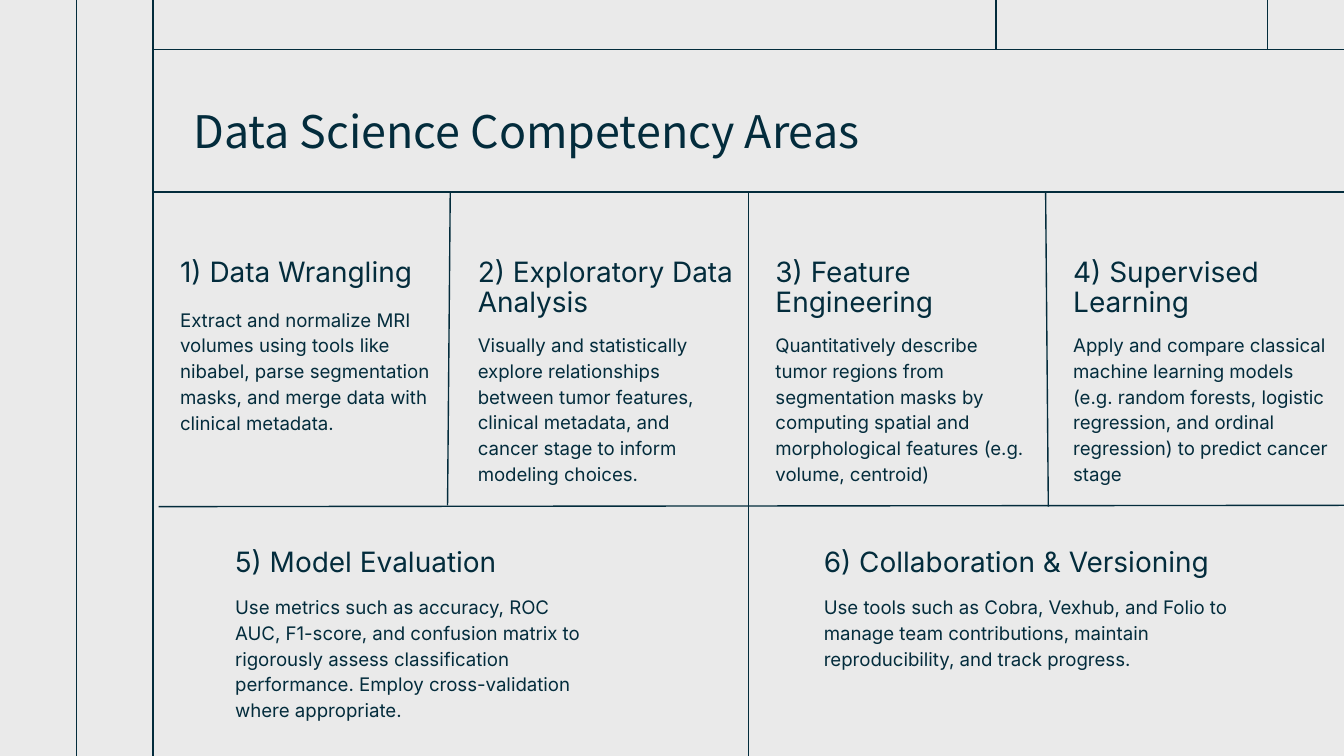
from dataclasses import dataclass

from lxml import etree
from pptx import Presentation
from pptx import util as u
from pptx.dml.color import RGBColor
from pptx.enum import shapes, text
from pptx.oxml import ns


@dataclass(frozen=True)
class Theme:
    ink: RGBColor = RGBColor.from_string("032C3C")
    paper: RGBColor = RGBColor.from_string("EAEAEA")
    title_font: str = "Noto Sans CJK KR"
    text_font: str = "Inter"
    title_size: int = 24
    heading_size: int = 15
    body_size: int = 10
    rule_width: float = 0.75


THEME = Theme()
WIDTH = 10
HEIGHT = WIDTH * 9 / 16   # widescreen page
MARGIN = 1.14             # left edge of the ruled area
COLUMN = 2.21             # width of one upper column
TOP, MIDDLE = 1.43, 3.76  # top edges of the two bands

# Heading, body text, offset from heading to body, body height
COLUMNS = [
    ("1) Data Wrangling",
     "Extract and normalize MRI volumes using tools like nibabel, parse "
     "segmentation masks, and merge data with clinical metadata.", 0.35, 0.75),
    ("2) Exploratory Data Analysis",
     "Visually and statistically explore relationships between tumor features, "
     "clinical metadata, and cancer stage to inform modeling choices.", 0.54, 1.25),
    ("3) Feature Engineering",
     "Quantitatively describe tumor regions from segmentation masks by computing "
     "spatial and morphological features (e.g. volume, centroid)", 0.54, 1.29),
    ("4) Supervised Learning",
     "Apply and compare classical machine learning models (e.g. random forests, "
     "logistic regression, and ordinal regression) to predict cancer stage",
     0.54, 1.25),
]
# Heading, body text, left, heading width, body width
HALVES = [
    ("5) Model Evaluation",
     "Use metrics such as accuracy, ROC AUC, F1-score, and confusion matrix to "
     "rigorously assess classification performance. Employ cross-validation "
     "where appropriate.", 1.55, 2.63, 2.9),
    ("6) Collaboration & Versioning",
     "Use tools such as Cobra, Vexhub, and Folio to manage team contributions, "
     "maintain reproducibility, and track progress.", 5.93, 3.96, 3.67),
]


def set_values(target, values):
    for name, value in values.items():
        setattr(target, name, value)


def add_rule(page, start, end):
    ends = [u.Inches(value) for value in (*start, *end)]
    rule = page.shapes.add_connector(shapes.MSO_CONNECTOR.STRAIGHT, *ends)
    rule.line.color.rgb = THEME.ink
    rule.line.width = u.Pt(THEME.rule_width)
    etree.SubElement(rule._element.spPr, ns.qn("a:effectLst"))


def write_text(box, wording, font, size, spacing=1.0, inset=0.2,
               anchor=text.MSO_ANCHOR.TOP):
    frame = box.text_frame
    set_values(frame, {
        "word_wrap": True, "auto_size": text.MSO_AUTO_SIZE.NONE,
        "vertical_anchor": anchor, "margin_left": u.Inches(inset),
        "margin_right": u.Inches(0.1), "margin_top": u.Inches(0.1),
        "margin_bottom": u.Inches(0.1),
    })
    para = frame.paragraphs[0]
    set_values(para, {"alignment": text.PP_ALIGN.LEFT, "line_spacing": spacing})
    span = para.add_run()
    span.text = wording
    set_values(span.font, {"name": font, "size": u.Pt(size), "bold": False})
    span.font.color.rgb = THEME.ink


def add_text(page, bounds, *style):
    box = page.shapes.add_textbox(*map(u.Inches, bounds))
    write_text(box, *style)


def add_area(page, heading, body, left, top, widths, offset, body_height):
    """A heading with its description, placed from the given corner."""
    add_text(page, (left, top, widths[0], 0.7),
             heading, THEME.text_font, THEME.heading_size, 0.9)
    add_text(page, (left, top + offset, widths[1], body_height),
             body, THEME.text_font, THEME.body_size, 1.15)


def add_header(page, left, top, width, height):
    bounds = dict(zip(("left", "top", "width", "height"),
                      map(u.Inches, (left, top, width, height))))
    title = page.shapes.title
    set_values(title, bounds)
    write_text(title, "Data Science Competency Areas", THEME.title_font,
               THEME.title_size, inset=0.3, anchor=text.MSO_ANCHOR.MIDDLE)


def add_frame(page):
    # Full-height margin rules
    for x in (MARGIN / 2, MARGIN):
        add_rule(page, (x, 0), (x, HEIGHT))
    # Strip along the top edge
    for y in (0.37, TOP):
        add_rule(page, (MARGIN, y), (WIDTH, y))
    for x in (7.41, 9.43):
        add_rule(page, (x, 0), (x, 0.37))


def add_upper_band(page, left, top, bottom):
    # Outer dividers lean slightly
    add_rule(page, (3.35, top), (3.33, bottom))
    add_rule(page, (7.78, top), (7.8, bottom + 0.01))
    pitch = (WIDTH - left) / len(COLUMNS)
    for index, (heading, body, offset, body_height) in enumerate(COLUMNS):
        add_area(page, heading, body, left + index * pitch, top + 0.39,
                 (COLUMN, COLUMN), offset, body_height)


def add_lower_band(page, left, top):
    add_rule(page, (left + 0.04, top + 0.01), (WIDTH, top))
    add_rule(page, (5.57, TOP), (5.57, HEIGHT))
    for heading, body, x, *widths in HALVES:
        add_area(page, heading, body, x, top + 0.22, widths, 0.33, 0.75)


def main():
    deck = Presentation()
    deck.slide_width, deck.slide_height = u.Inches(WIDTH), u.Inches(HEIGHT)
    page = deck.slides.add_slide(deck.slide_layouts.get_by_name("Title Only"))
    page.background.fill.solid()
    page.background.fill.fore_color.rgb = THEME.paper
    add_frame(page)
    add_header(page, MARGIN, 0.62, 8.29, 0.7)
    add_upper_band(page, MARGIN, TOP, MIDDLE)
    add_lower_band(page, MARGIN, MIDDLE)
    deck.save("out.pptx")


if __name__ == "__main__":
    main()
